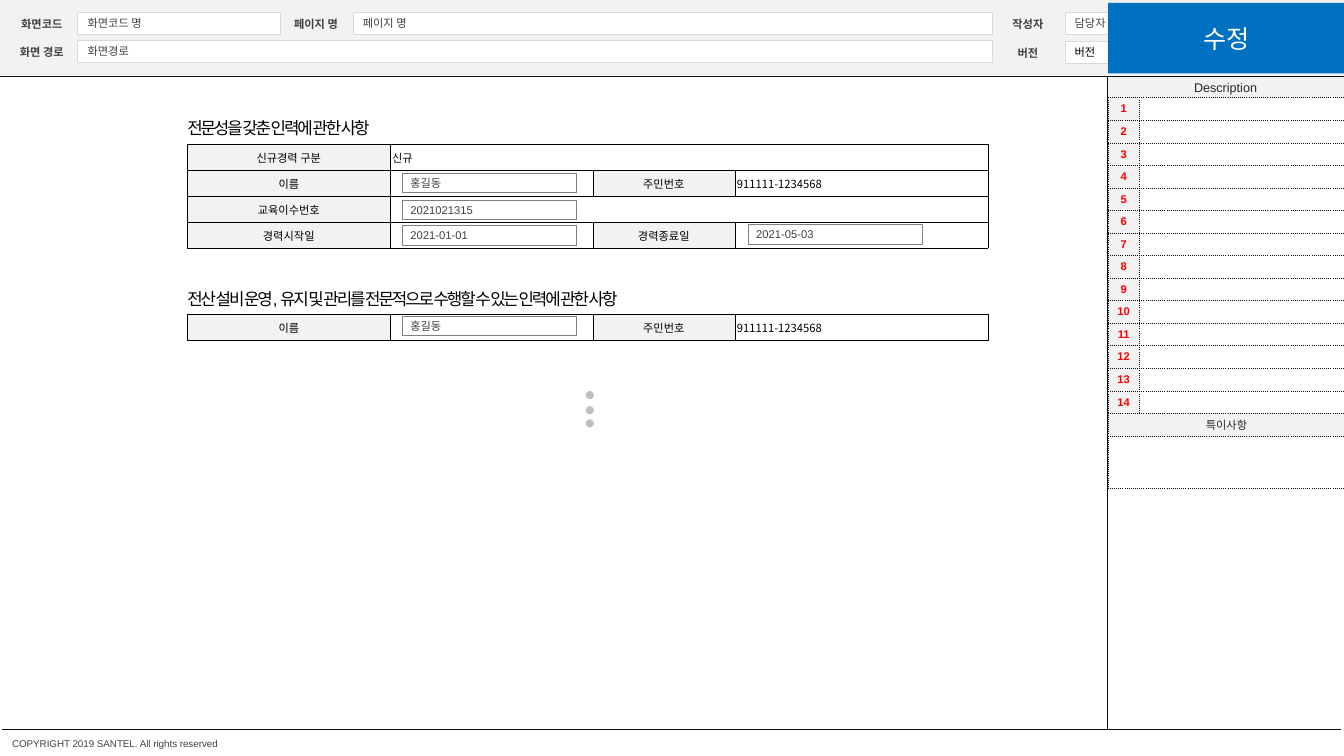
from lxml.etree import SubElement
from pptx import Presentation
from pptx.dml.color import RGBColor
from pptx.enum.dml import MSO_LINE
from pptx.enum.shapes import MSO_CONNECTOR, MSO_SHAPE
from pptx.enum.text import MSO_ANCHOR, PP_ALIGN
from pptx.oxml import parse_xml
from pptx.oxml.ns import nsdecls, qn
from pptx.util import Inches, Pt

COLUMNS, ROWS = 133.3, 75  # the slide is a grid of 0.1 inch cells
LATIN, KOREAN = "Arial", "Noto Sans CJK KR"

WHITE = RGBColor(0xFF, 0xFF, 0xFF)
BLACK = RGBColor(0x00, 0x00, 0x00)
INK = RGBColor(0x0D, 0x0D, 0x0D)
CHARCOAL = RGBColor(0x26, 0x26, 0x26)
DARK_GRAY = RGBColor(0x40, 0x40, 0x40)
FIELD_EDGE = RGBColor(0x80, 0x80, 0x80)
DOT_GRAY = RGBColor(0xBF, 0xBF, 0xBF)
PALE_EDGE = RGBColor(0xD9, 0xD9, 0xD9)
PALE_GRAY = RGBColor(0xF2, 0xF2, 0xF2)
RED = RGBColor(0xFF, 0x00, 0x00)
BLUE = RGBColor(0x00, 0x70, 0xC0)

FORM_LEFT = 18.6
FORM_COLUMNS = [20.1, 20.1, 14.1, 25.1]
FORM_ROW = 2.58
FIELD_LEFT = 39.9
DESCRIPTION_LEFT = 109.9
DESCRIPTION_COLUMNS = [3.1, 20.4]
DESCRIPTION_COUNT = 14
FIELD_INSETS = (0.8, 0.4, 1.8, 0.4)


def grid(*cells):
    """Turn grid cells into slide lengths."""
    return [round(cell * Inches(0.1)) for cell in cells]


def write(frame, text, size=8, color=DARK_GRAY, font=LATIN, bold=False,
          align=PP_ALIGN.LEFT, anchor=MSO_ANCHOR.MIDDLE, insets=(1, 0.5, 1, 0.5),
          wrap=True, spacing=None):
    frame.word_wrap = wrap
    frame.vertical_anchor = anchor
    (frame.margin_left, frame.margin_top,
     frame.margin_right, frame.margin_bottom) = grid(*insets)
    paragraph = frame.paragraphs[0]
    paragraph.alignment = align
    run = paragraph.add_run()
    run.text = text
    run.font.size, run.font.bold, run.font.name = Pt(size), bold, font
    run.font.color.rgb = color
    properties = run.font._element
    SubElement(properties, qn("a:ea"), typeface=KOREAN)
    if spacing:
        properties.set("spc", str(round(spacing * 100)))


def add_text(slide, area, text, **style):
    write(slide.shapes.add_textbox(*grid(*area)).text_frame, text, **style)


def add_block(shapes, area, fill, edge=None, edge_width=0.25, text=None,
              kind=MSO_SHAPE.RECTANGLE, **style):
    block = shapes.add_shape(kind, *grid(*area))
    block.shadow.inherit = False
    block.fill.solid()
    block.fill.fore_color.rgb = fill
    if edge is None:
        block.line.fill.background()
    else:
        block.line.color.rgb = edge
        block.line.width = Pt(edge_width)
    if text:
        write(block.text_frame, text, **style)


def add_rule(slide, *ends):
    rule = slide.shapes.add_connector(MSO_CONNECTOR.STRAIGHT, *grid(*ends))
    rule.line.color.rgb = INK
    rule.line.width = Pt(0.25)
    rule.line.dash_style = MSO_LINE.ROUND_DOT
    SubElement(rule._element.spPr, qn("a:effectLst"))


def set_borders(cell, color, width, dash):
    properties = cell._tc.get_or_add_tcPr()
    for position, side in enumerate(("lnL", "lnR", "lnT", "lnB")):
        properties.insert(position, parse_xml(
            f'<a:{side} {nsdecls("a")} w="{Pt(width)}"><a:solidFill>'
            f'<a:srgbClr val="{color}"/></a:solidFill>'
            f'<a:prstDash val="{dash}"/></a:{side}>'))


def add_grid_table(slide, left, top, columns, rows, border):
    """Add a white table whose empty cells do not stretch their rows."""
    area = grid(left, top, sum(columns), sum(rows))
    table = slide.shapes.add_table(len(rows), len(columns), *area).table
    table.first_row = table.horz_banding = False
    for column, width in zip(table.columns, grid(*columns)):
        column.width = width
    for row, height in zip(table.rows, grid(*rows)):
        row.height = height
    for cell in table.iter_cells():
        cell.fill.solid()
        cell.fill.fore_color.rgb = WHITE
        set_borders(cell, *border)
        (cell.margin_left, cell.margin_top,
         cell.margin_right, cell.margin_bottom) = grid(0.2, 0.2, 0.2, 0.2)
        SubElement(cell.text_frame.paragraphs[0]._p, qn("a:endParaRPr"), sz="800")
    return table


def fill_cell(cell, text, fill=WHITE, **style):
    cell.fill.fore_color.rgb = fill
    cell.vertical_anchor = MSO_ANCHOR.MIDDLE
    write(cell.text_frame, text, **{"insets": (0.2, 0.2, 0.2, 0.2), **style})


def add_form(slide, top, rows):
    """Add a form; a row of two entries spans its value over the rest."""
    table = add_grid_table(slide, FORM_LEFT, top, FORM_COLUMNS,
                           [FORM_ROW] * len(rows), (BLACK, 0.25, "solid"))
    for r, entries in enumerate(rows):
        if len(entries) == 2:
            table.cell(r, 1).merge(table.cell(r, 3))
        for c, text in enumerate(entries):
            if c % 2 == 0:
                fill_cell(table.cell(r, c), text, PALE_GRAY, color=BLACK,
                          font=KOREAN if c else LATIN, align=PP_ALIGN.CENTER)
            elif text:
                fill_cell(table.cell(r, c), text, color=BLACK, font=KOREAN,
                          insets=(0.9, 0.2, 0.2, 0.2))


def add_description(slide):
    number_row = 2.24
    table = add_grid_table(slide, DESCRIPTION_LEFT, 9.7, DESCRIPTION_COLUMNS,
                           [number_row] * DESCRIPTION_COUNT + [2.3, 5.1],
                           (INK, 0.5, "sysDot"))
    for index in range(DESCRIPTION_COUNT):
        fill_cell(table.cell(index, 0), str(index + 1), PALE_GRAY, color=RED,
                  bold=True, align=PP_ALIGN.CENTER)
    for row in (DESCRIPTION_COUNT, DESCRIPTION_COUNT + 1):
        table.cell(row, 0).merge(table.cell(row, 1))
    fill_cell(table.cell(DESCRIPTION_COUNT, 0), "특이사항", PALE_GRAY,
              color=CHARCOAL, align=PP_ALIGN.CENTER)


def add_page_frame(slide):
    add_block(slide.shapes, (0, 0, COLUMNS, 7.5), PALE_GRAY)
    for label, label_left, value, left, top, width in (
            ("화면코드", 0.6, "화면코드 명", 7.7, 1.2, 20.1),
            ("화면 경로", 0.6, "화면경로", 7.7, 4, 90.7),
            ("페이지 명", 27.8, "페이지 명", 35, 1.2, 63.4),
            ("작성자", 98.4, "담당자", 105.6, 1.2, 9.5),
            ("버전", 98.4, "버전", 105.6, 4.1, 9.5)):
        add_text(slide, (label_left, top + 0.5, 7.1, 1.3), label, bold=True,
                 align=PP_ALIGN.CENTER, insets=(0, 0, 0, 0))
        add_block(slide.shapes, (left, top, width, 2.2), WHITE, PALE_EDGE,
                  text=value, color=BLACK if value == "버전" else DARK_GRAY)
    add_block(slide.shapes, (109.8, 7.6, 23.5, 2.2), PALE_GRAY,
              text="Description", size=9, color=CHARCOAL,
              align=PP_ALIGN.CENTER, wrap=False)
    add_text(slide, (1.2, 73.2, 36.5, 1.2),
             "COPYRIGHT 2019 SANTEL. All rights reserved", size=7,
             insets=(0, 0, 0, 0))
    add_rule(slide, 109.8, 9.7, COLUMNS, 9.7)
    add_rule(slide, 109.8, 7.6, 109.8, 72.3)
    add_rule(slide, 0, 7.6, COLUMNS, 7.6)
    add_rule(slide, 0.2, 72.3, 132.9, 72.3)


def main():
    deck = Presentation()
    deck.slide_width, deck.slide_height = grid(COLUMNS, ROWS)
    slide = deck.slides.add_slide(deck.slide_layouts[6])
    add_page_frame(slide)

    for top, width, heading in (
            (11.2, 24.4, "전문성을 갖춘 인력에 관한 사항"),
            (28.1, 53.5, "전산 설비 운영, 유지 및 관리를 전문적으로 수행할 수 있는 인력에 관한 사항")):
        add_text(slide, (17.6, top, width, 3), heading, size=12, color=BLACK,
                 spacing=-1.5, wrap=False)

    person = ("이름", "", "주민번호", "911111-1234568")
    add_form(slide, 14.3, [("신규경력 구분", "신규"), person, ("교육이수번호", ""),
                           ("경력시작일", "", "경력종료일", "")])
    add_form(slide, 31.2, [person])
    for value, left, top in (("홍길동", FIELD_LEFT, 17.2),
                             ("2021021315", FIELD_LEFT, 19.9),
                             ("2021-01-01", FIELD_LEFT, 22.4),
                             ("2021-05-03", 74.2, 22.3),
                             ("홍길동", FIELD_LEFT, 31.4)):
        add_block(slide.shapes, (left, top, 17.3, 1.9), WHITE, FIELD_EDGE, 0.5,
                  value, insets=FIELD_INSETS)

    more_dots = slide.shapes.add_group_shape()
    for top in (38.8, 40.3, 41.6):
        add_block(more_dots.shapes, (58.1, top, 0.8, 0.8), DOT_GRAY,
                  kind=MSO_SHAPE.OVAL)

    add_block(slide.shapes, (DESCRIPTION_LEFT, 0.3, 23.5, 7), BLUE, text="수정",
              size=18, color=WHITE, font=KOREAN, align=PP_ALIGN.CENTER)
    add_description(slide)
    deck.save("out.pptx")


if __name__ == "__main__":
    main()
